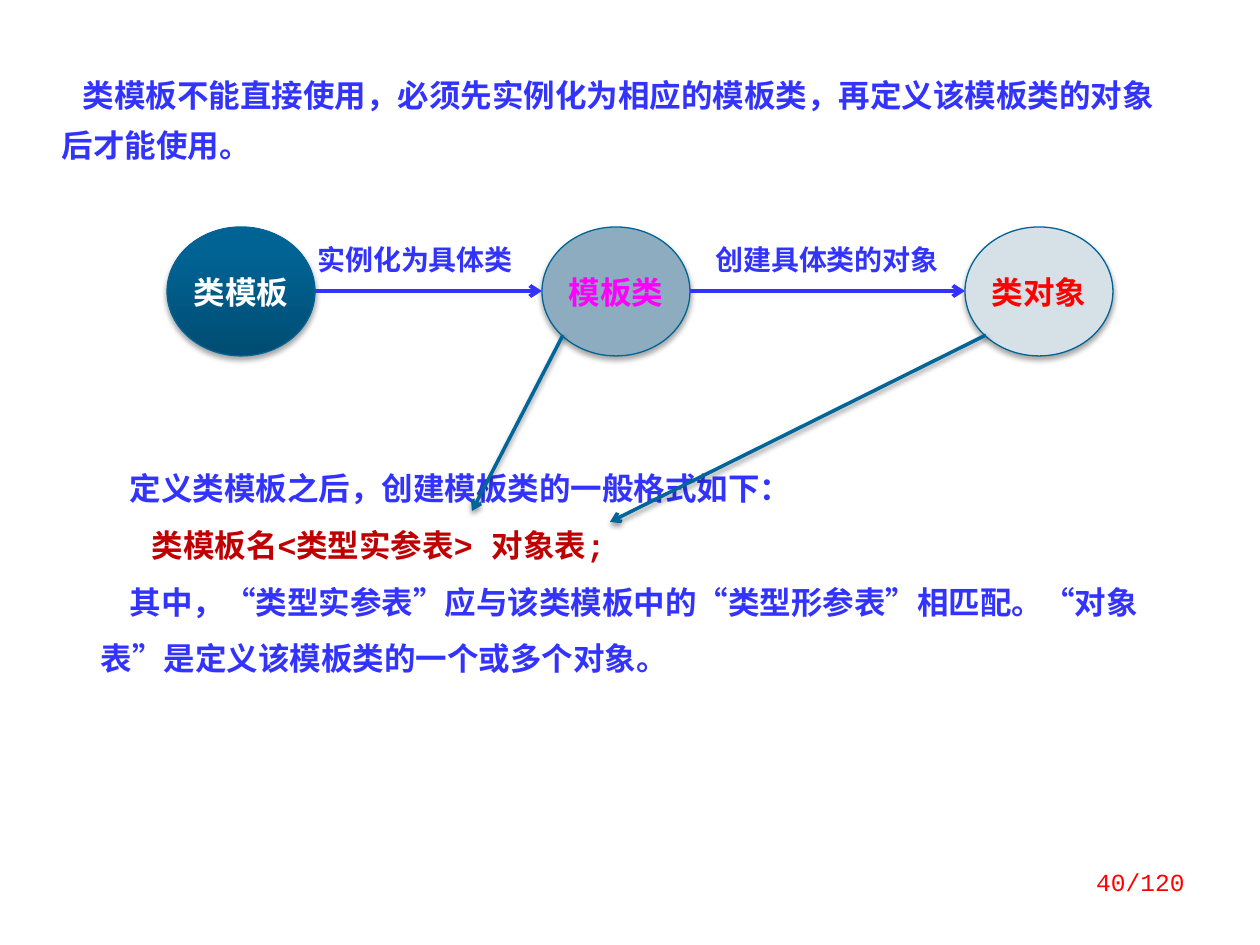
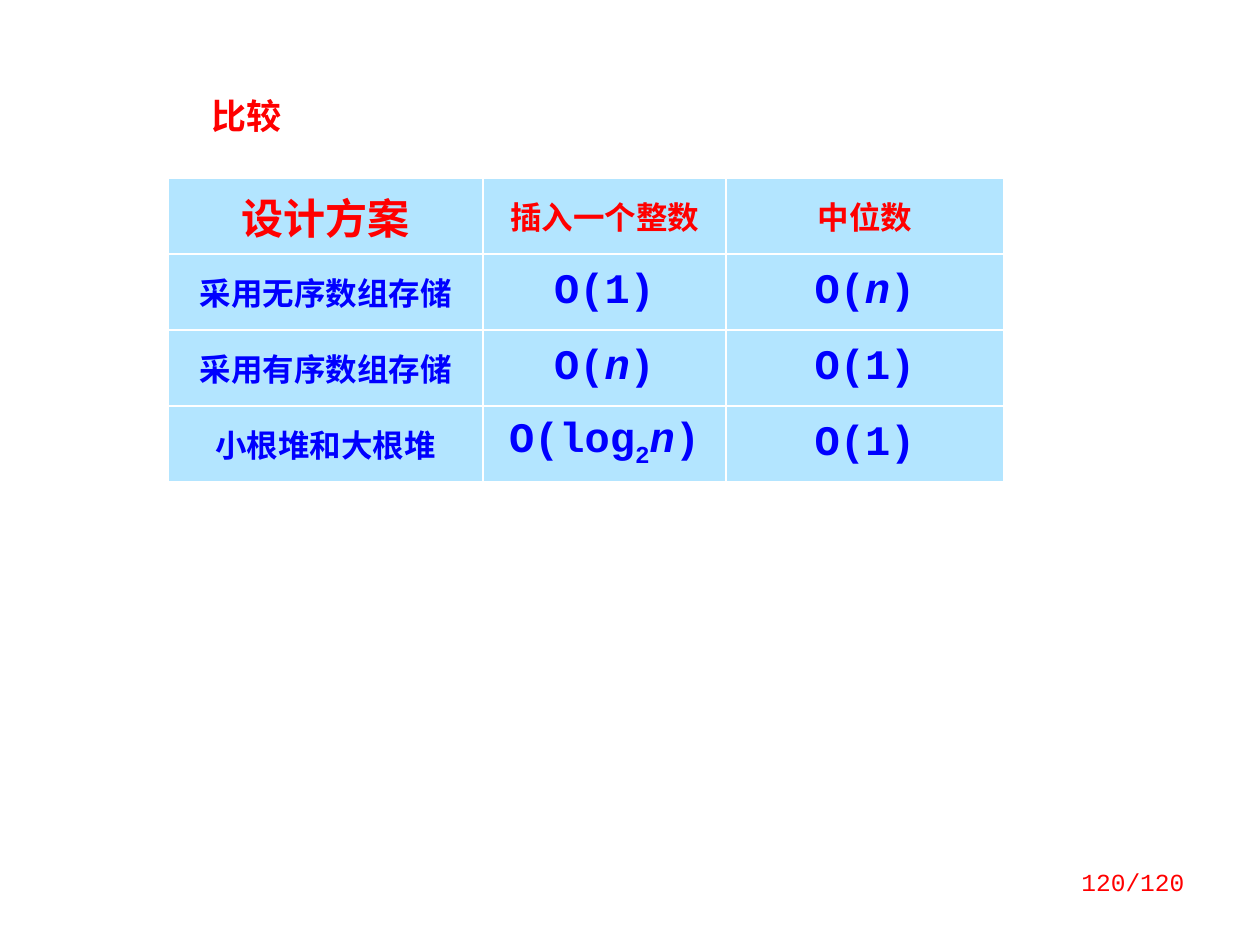
import pptx
import pptx.util
import pptx.dml.color
import pptx.enum.lang
import pptx.enum.shapes
import pptx.enum.text
import pptx.oxml.ns
from lxml import etree

EMU_PER_PX = 914400 / 126
RGB = pptx.dml.color.RGBColor
BLUE = RGB(0x33, 0x33, 0xFF)
TABLE_BLUE = RGB(0x00, 0x00, 0xFF)
DARK_RED = RGB(0xC0, 0x00, 0x00)
RED = RGB(0xFF, 0x00, 0x00)
MAGENTA = RGB(0xFF, 0x00, 0xFF)
WHITE = RGB(0xFF, 0xFF, 0xFF)
TEAL_LINE = RGB(0x00, 0x64, 0x96)
TEAL_ARROW = RGB(0x00, 0x66, 0x99)
TEAL_DARK = RGB(0x00, 0x4C, 0x72)
TEAL = RGB(0x00, 0x63, 0x94)
STEEL = RGB(0x8E, 0xAC, 0xBF)
PALE_STEEL = RGB(0xD5, 0xE0, 0xE7)
CELL_BLUE = RGB(0xB3, 0xE5, 0xFF)

SANS = "Noto Sans CJK SC"
MONO = "Courier New"
Pt = pptx.util.Pt
ALIGN = pptx.enum.text.PP_ALIGN
ANCHOR = pptx.enum.text.MSO_ANCHOR

TITLE_FORMAT = {"name": SANS, "size": Pt(20), "bold": True}
PROSE_FORMAT = {"name": MONO, "size": Pt(18), "bold": True}
STAGE_FORMAT = {"name": SANS, "size": Pt(18), "bold": True}
LABEL_FORMAT = {"name": SANS, "size": Pt(16), "bold": True}
COST_FORMAT = {"name": MONO, "size": Pt(24), "bold": True}
PAGE_FORMAT = {"name": MONO, "size": Pt(14), "bold": False}

STAGE_TOP, STAGE_WIDTH, STAGE_HEIGHT = 227, 148, 129
STAGES = [
    ("类模板", 167, (TEAL_DARK, TEAL), WHITE),
    ("模板类", 542, (STEEL,), MAGENTA),
    ("类对象", 965, (PALE_STEEL,), RED),
]

CONSTANT = [("O(1)", {})]
LINEAR = [("O(", {}), ("n", {"italic": True}), (")", {})]
LOGARITHMIC = [("O(log", {}), ("2", {"subscript": True}),
               ("n", {"italic": True}), (")", {})]
COSTS = [
    ("采用无序数组存储", CONSTANT, LINEAR),
    ("采用有序数组存储", LINEAR, CONSTANT),
    ("小根堆和大根堆", LOGARITHMIC, CONSTANT),
]


def px(length):
    return pptx.util.Emu(round(length * EMU_PER_PX))


def add_run(paragraph, text, font_format, color, subscript=False):
    run = paragraph.add_run()
    run.text = text
    for attribute, value in font_format.items():
        setattr(run.font, attribute, value)
    run.font.color.rgb = color
    run.font.language_id = pptx.enum.lang.MSO_LANGUAGE_ID.SIMPLIFIED_CHINESE
    properties = run._r.get_or_add_rPr()
    east_asian = etree.SubElement(properties, pptx.oxml.ns.qn("a:ea"))
    east_asian.set("typeface", SANS)
    if subscript:
        properties.set("baseline", "-25000")


def add_shadow(element, opacity, distance):
    """Cast a soft black shadow straight down."""
    effects = element._element.spPr.get_or_add_effectLst()
    shadow = etree.SubElement(effects, pptx.oxml.ns.qn("a:outerShdw"))
    for name, value in {"blurRad": Pt(3.1), "dist": Pt(distance),
                        "dir": 5400000, "rotWithShape": 0}.items():
        shadow.set(name, str(int(value)))
    black = etree.SubElement(shadow, pptx.oxml.ns.qn("a:srgbClr"), val="000000")
    etree.SubElement(black, pptx.oxml.ns.qn("a:alpha"), val=str(opacity * 1000))


def place_placeholder(placeholder, left, top, width, height):
    for side, length in {"left": left, "top": top, "width": width,
                         "height": height}.items():
        setattr(placeholder, side, px(length))
    frame = placeholder.text_frame
    frame.word_wrap = True
    frame.auto_size = pptx.enum.text.MSO_AUTO_SIZE.NONE
    frame.vertical_anchor = ANCHOR.TOP
    return frame


def write_prose(paragraph, text, color, first_indent, line_spacing):
    paragraph.alignment = ALIGN.LEFT
    paragraph.line_spacing = line_spacing
    paragraph.space_before = Pt(0)
    properties = paragraph._p.get_or_add_pPr()
    properties.set("marL", "0")
    properties.set("indent", str(px(first_indent)))
    etree.SubElement(properties, pptx.oxml.ns.qn("a:buNone"))
    add_run(paragraph, text, PROSE_FORMAT, color)


def add_label(slide, text, left, top, width, height, font_format, color, align):
    box = slide.shapes.add_textbox(px(left), px(top), px(width), px(height))
    box.text_frame.word_wrap = True
    paragraph = box.text_frame.paragraphs[0]
    paragraph.alignment = align
    add_run(paragraph, text, font_format, color)


def add_page_number(slide, number):
    add_label(slide, f"{number}/120", 903, 861, 294, 63, PAGE_FORMAT, RED, ALIGN.RIGHT)


def add_stage(slide, name, left, fills, text_color):
    stage = slide.shapes.add_shape(
        pptx.enum.shapes.MSO_SHAPE.OVAL,
        px(left), px(STAGE_TOP), px(STAGE_WIDTH), px(STAGE_HEIGHT))
    if len(fills) > 1:
        stage.fill.gradient()
        stage.fill.gradient_angle = 90
        for stop, color, position in zip(stage.fill.gradient_stops, fills, (0, 0.8)):
            stop.color.rgb = color
            stop.position = position
    else:
        stage.fill.solid()
        stage.fill.fore_color.rgb = fills[0]
    stage.line.color.rgb = TEAL_LINE
    stage.line.width = Pt(0.75)
    stage.shadow.inherit = False
    add_shadow(stage, 35, 1.8)
    frame = stage.text_frame
    frame.word_wrap = False
    frame.vertical_anchor = ANCHOR.MIDDLE
    frame.paragraphs[0].alignment = ALIGN.CENTER
    add_run(frame.paragraphs[0], name, STAGE_FORMAT, text_color)


def add_arrow(slide, start, end, color, width):
    arrow = slide.shapes.add_connector(
        pptx.enum.shapes.MSO_CONNECTOR.STRAIGHT, *map(px, start + end))
    arrow.line.color.rgb = color
    arrow.line.width = Pt(width)
    etree.SubElement(arrow.line._get_or_add_ln(),
                     pptx.oxml.ns.qn("a:tailEnd"), type="arrow")
    arrow._element.spPr.get_or_add_effectLst()
    return arrow


def add_cell(cell, runs, font_format, color):
    cell.fill.solid()
    cell.fill.fore_color.rgb = CELL_BLUE
    cell.vertical_anchor = ANCHOR.MIDDLE
    paragraph = cell.text_frame.paragraphs[0]
    paragraph.alignment = ALIGN.CENTER
    for text, variation in runs:
        changes = dict(variation)
        subscript = changes.pop("subscript", False)
        add_run(paragraph, text, {**font_format, **changes}, color, subscript)


def add_cost_table(slide):
    widths, row_height = (315, 243, 278), 76
    row_count = len(COSTS) + 1
    table = slide.shapes.add_table(
        row_count, len(widths), px(168), px(178),
        px(sum(widths)), px(row_height * row_count)).table
    for column, width in zip(table.columns, widths):
        column.width = px(width)
    for row in table.rows:
        row.height = px(row_height)
    headings = [("设计方案", COST_FORMAT), ("插入一个整数", PROSE_FORMAT),
                ("中位数", PROSE_FORMAT)]
    for column, (heading, font_format) in enumerate(headings):
        add_cell(table.cell(0, column), [(heading, {})], font_format, RED)
    for row, (scheme, *costs) in enumerate(COSTS, 1):
        add_cell(table.cell(row, 0), [(scheme, {})], PROSE_FORMAT, TABLE_BLUE)
        for column, cost in enumerate(costs, 1):
            add_cell(table.cell(row, column), cost, COST_FORMAT, TABLE_BLUE)


def build_instantiation_slide(deck):
    slide = deck.slides.add_slide(deck.slide_layouts[1])
    statement = place_placeholder(slide.shapes.title, 49, 59, 1131, 108)
    write_prose(
        statement.paragraphs[0],
        "类模板不能直接使用，必须先实例化为相应的模板类，再定义该模板类的对象后才能使用。",
        BLUE, 21, Pt(28))

    explanation = place_placeholder(slide.placeholders[1], 88, 444, 1131, 242)
    lines = [
        ("定义类模板之后，创建模板类的一般格式如下：", BLUE, 29),
        ("类模板名<类型实参表> 对象表;", DARK_RED, 51),
        ("其中，“类型实参表”应与该类模板中的“类型形参表”相匹配。"
         "“对象表”是定义该模板类的一个或多个对象。", BLUE, 29),
    ]
    for index, (text, color, indent) in enumerate(lines):
        paragraph = explanation.add_paragraph() if index else explanation.paragraphs[0]
        write_prose(paragraph, text, color, indent, 1.5)

    for stage in STAGES:
        add_stage(slide, *stage)
    middle = STAGE_TOP + STAGE_HEIGHT // 2
    for source, target in zip(STAGES, STAGES[1:]):
        add_arrow(slide, (source[1] + STAGE_WIDTH, middle), (target[1], middle),
                  BLUE, 2.25)
    add_label(slide, "实例化为具体类", 305, 236, 227, 47, LABEL_FORMAT, BLUE, ALIGN.LEFT)
    add_label(slide, "创建具体类的对象", 699, 236, 256, 47, LABEL_FORMAT, BLUE,
              ALIGN.CENTER)

    for stage, syntax_part in zip(STAGES[1:], ((472, 511), (610, 522))):
        pointer = add_arrow(slide, (stage[1] + 21, 335), syntax_part, TEAL_ARROW, 2)
        add_shadow(pointer, 38, 1.6)
    add_page_number(slide, 40)


def build_comparison_slide(deck):
    slide = deck.slides.add_slide(deck.slide_layouts[5])
    heading = place_placeholder(slide.shapes.title, 178, 88, 137, 55).paragraphs[0]
    heading.alignment = ALIGN.CENTER
    add_run(heading, "比较", TITLE_FORMAT, RED)
    add_cost_table(slide)
    add_page_number(slide, 120)


def main():
    deck = pptx.Presentation()
    deck.slide_width, deck.slide_height = px(1260), px(945)
    build_instantiation_slide(deck)
    build_comparison_slide(deck)
    deck.save("out.pptx")


if __name__ == "__main__":
    main()
